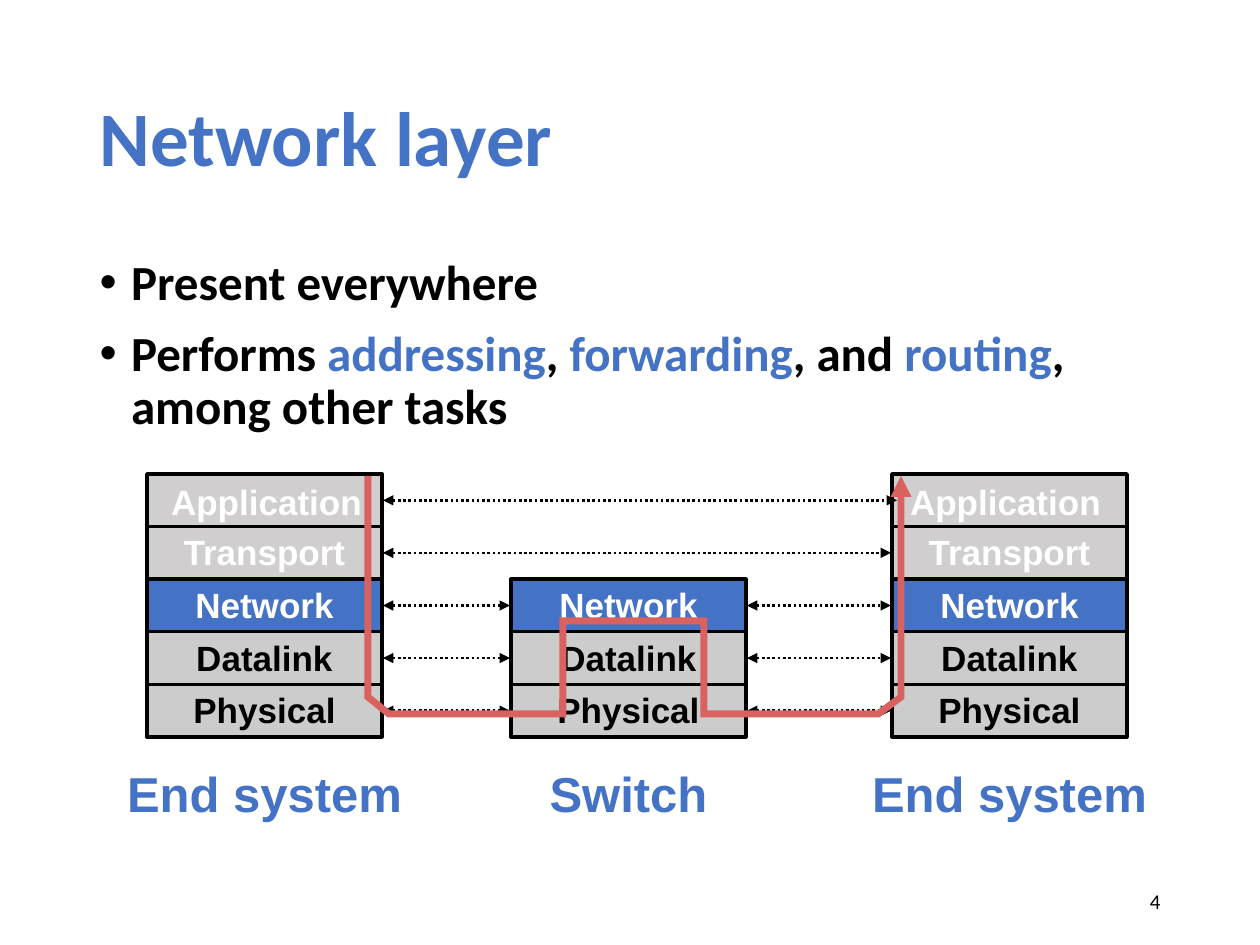
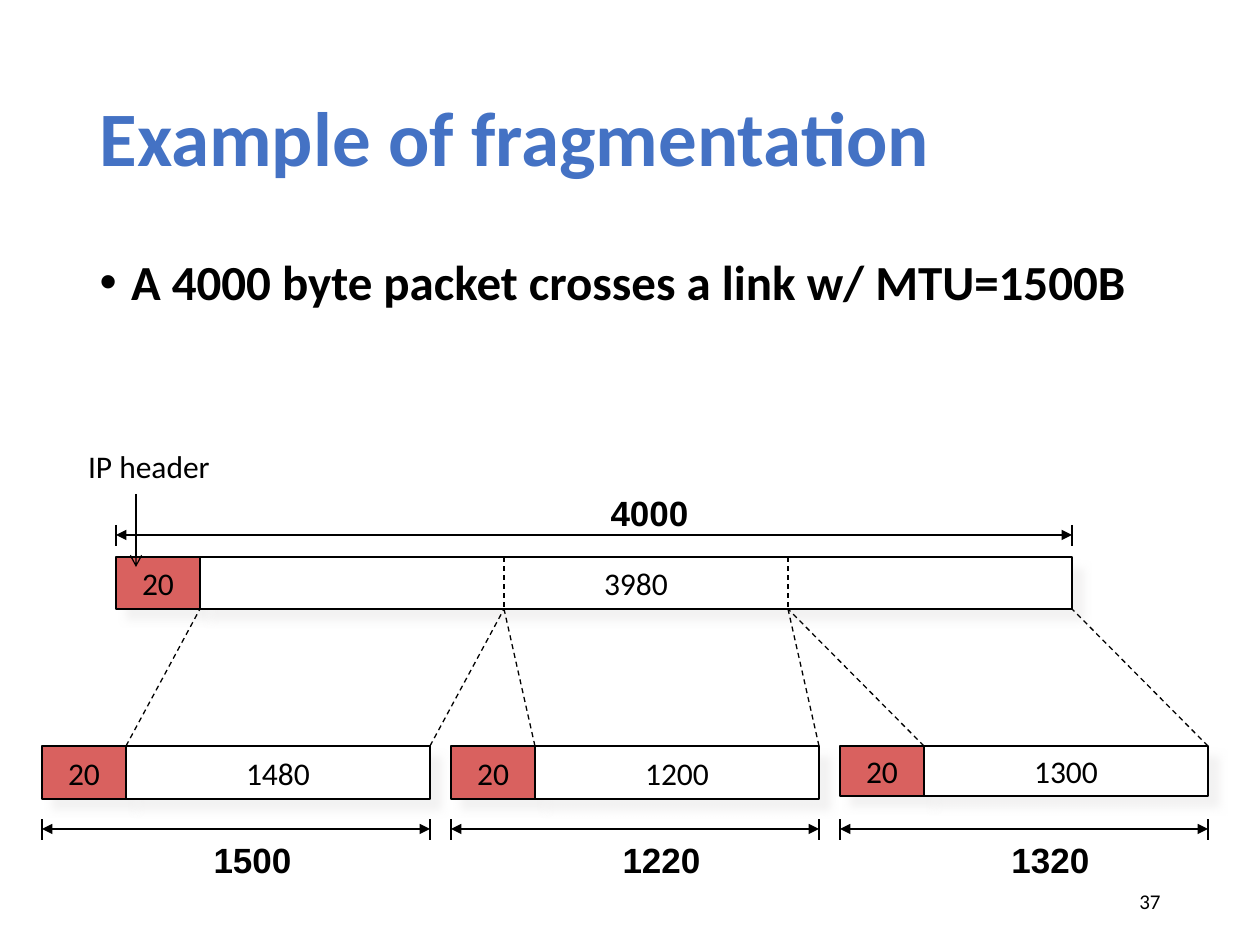
from lxml.etree import SubElement
from pptx import Presentation
from pptx.dml.color import RGBColor
from pptx.enum.dml import MSO_LINE
from pptx.enum.shapes import MSO_CONNECTOR, MSO_SHAPE
from pptx.enum.text import MSO_ANCHOR, MSO_AUTO_SIZE, PP_ALIGN
from pptx.oxml.ns import qn
from pptx.util import Emu, Pt

PX = 914400 / 126
BLACK, WHITE, BLUE, RED = "000000", "FFFFFF", "4472C4", "D9615F"
PALE, GREY, SHADOW = "D0CECE", "CCCCCC", "E7E6E6"

# Asterisks enclose accented words.
NETWORK = {
    "title": "Network layer",
    "bullets": ["Present everywhere",
                "Performs *addressing*, *forwarding*, and *routing*, among other tasks"],
    "number": "4",
}
FRAGMENTATION = {
    "title": "Example of fragmentation",
    "bullets": ["A 4000 byte packet crosses a link w/ MTU=1500B"],
    "number": "37",
}

# name, fill, text colour, label width
LAYERS = [
    ("Application", PALE, WHITE, 218),
    ("Transport", PALE, WHITE, 189),
    ("Network", BLUE, WHITE, 165),
    ("Datalink", GREY, BLACK, 163),
    ("Physical", GREY, BLACK, 169),
]
# name, left, first layer, caption width, shift of the Application label
STACKS = [
    ("End system", 147, 0, 304, 2),
    ("Switch", 511, 2, 185, 0),
    ("End system", 892, 0, 304, -4),
]
STACK_TOP, STACK_BOTTOM, STACK_W = 474, 737, 235
LAYER_H = (STACK_BOTTOM - STACK_TOP) / len(LAYERS)
DATA_PATH = [(368, 476), (368, 697), (389, 714), (563, 714), (563, 621),
             (704, 621), (704, 714), (878, 714), (901, 697), (901, 476)]

# payload, payload width, total, centre of the total, box height
FRAGMENTS = [
    ("1480", 304, "1500", 252, 53),
    ("1200", 284, "1220", 661, 53),
    ("1300", 284, "1320", 1050, 50),
]
HEADER, HEADER_W = "20", 84
PACKET_LEFT, PACKET_TOP, PACKET_H = 116, 557, 52
FRAGMENT_LEFT, FRAGMENT_TOP, FRAGMENT_GAP = 42, 746, 21


def px(value):
    return Emu(round(value * PX))


def rgb(hex_color):
    return RGBColor.from_string(hex_color)


def style_run(r, size, color, font="Calibri", bold=False):
    r.font.name, r.font.size, r.font.bold = font, Pt(size), bold
    r.font.color.rgb = rgb(color)


def set_text(sp, text, size, color=BLACK, font="Calibri", bold=False,
             align=PP_ALIGN.CENTER):
    tf = sp.text_frame
    tf.text = text
    p = tf.paragraphs[0]
    p.alignment = align
    style_run(p.runs[0], size, color, font, bold)
    return tf


def add_label(shapes, text, box, size, color=BLACK, font="Arial", bold=True):
    sp = shapes.add_textbox(*map(px, box))
    set_text(sp, text, size, color, font, bold).word_wrap = False


def add_box(shapes, box, fill, line_width):
    sp = shapes.add_shape(MSO_SHAPE.RECTANGLE, *map(px, box))
    sp.shadow.inherit = False
    sp.fill.solid()
    sp.fill.fore_color.rgb = rgb(fill)
    sp.line.color.rgb = rgb(BLACK)
    sp.line.width = Pt(line_width)
    return sp


def style_line(sp, color, width, dash=None, head=None, tail=None):
    sp.line.color.rgb = rgb(color)
    sp.line.width = Pt(width)
    if dash:
        sp.line.dash_style = dash
    ln = sp._element.spPr.find(qn("a:ln"))
    SubElement(ln, qn("a:miter"), lim="800000")
    for tag, kind in (("a:headEnd", head), ("a:tailEnd", tail)):
        if kind:
            SubElement(ln, qn(tag), type=kind)


def add_line(shapes, x1, y1, x2, y2, width=0.75, **style):
    sp = shapes.add_connector(MSO_CONNECTOR.STRAIGHT, *map(px, (x1, y1, x2, y2)))
    style_line(sp, BLACK, width, **style)
    SubElement(sp._element.spPr, qn("a:effectLst"))


def fill_body(body, bullets):
    tf = body.text_frame
    tf.auto_size = MSO_AUTO_SIZE.NONE
    for i, bullet in enumerate(bullets):
        p = tf.add_paragraph() if i else tf.paragraphs[0]
        p.line_spacing, p.space_before = 0.9, Pt(10)
        pPr = p._p.get_or_add_pPr()
        pPr.set("marL", "228600")
        pPr.set("indent", "-228600")
        SubElement(pPr, qn("a:buFont"), typeface="Arial")
        SubElement(pPr, qn("a:buChar"), char="•")
        for j, part in enumerate(bullet.split("*")):
            r = p.add_run()
            r.text = part
            style_run(r, 28, BLUE if j % 2 else BLACK, bold=True)


def place(sp, box):
    sp.left, sp.top, sp.width, sp.height = map(px, box)


def add_slide(prs, content):
    """Add a slide with its title, bullets and page number."""
    s = prs.slides.add_slide(prs.slide_layouts[1])
    title, body = s.placeholders
    place(title, (87, 50, 1086, 183))
    tf = set_text(title, content["title"], 44, BLUE, bold=True, align=PP_ALIGN.LEFT)
    tf.auto_size = MSO_AUTO_SIZE.NONE
    tf.vertical_anchor = MSO_ANCHOR.MIDDLE
    tf.paragraphs[0].line_spacing = 0.9
    place(body, (87, 252, 1086, 600))
    fill_body(body, content["bullets"])
    number = s.shapes.add_textbox(*map(px, (890, 876, 283, 50)))
    tf = set_text(number, content["number"], 12, align=PP_ALIGN.RIGHT)
    tf.word_wrap = True
    tf.vertical_anchor = MSO_ANCHOR.MIDDLE
    return s.shapes


def draw_stacks(shapes):
    for caption, left, first, caption_w, shift in STACKS:
        center = left + STACK_W / 2
        for i, (name, fill, color, label_w) in enumerate(LAYERS[first:], first):
            top = STACK_TOP + i * LAYER_H
            add_box(shapes, (left, top, STACK_W, LAYER_H), fill, 2)
            dx, dy = (0, -2) if i else (shift, 0)
            add_label(shapes, name, (center - label_w / 2 + dx, top + dy, label_w, 55),
                      20, color)
        add_label(shapes, caption, (center - caption_w / 2, 757, caption_w, 72), 28, BLUE)


def draw_links(shapes):
    for i in range(len(LAYERS)):
        y = STACK_TOP + (i + 0.5) * LAYER_H
        lefts = [left for _, left, first, _, _ in STACKS if first <= i]
        overlap = -1 if i else 5
        for left, next_left in zip(lefts, lefts[1:]):
            add_line(shapes, left + STACK_W + 1, y, next_left + overlap, y, 1.5,
                     dash=MSO_LINE.ROUND_DOT, head="triangle", tail="triangle")


def draw_data_path(shapes):
    builder = shapes.build_freeform(*DATA_PATH[0], scale=PX)
    builder.add_line_segments(DATA_PATH[1:], close=False)
    sp = builder.convert_to_shape()
    sp.shadow.inherit = False
    sp.fill.background()
    style_line(sp, RED, 4, tail="triangle")


def add_field(shapes, text, box, fill):
    """Add one shadowed field of a packet."""
    sp = add_box(shapes, box, fill, 0.75)
    effects = sp._element.spPr.find(qn("a:effectLst"))
    shadow = SubElement(effects, qn("a:outerShdw"), blurRad=str(Pt(5)),
                        dist=str(Pt(8.5)), dir="2700000", algn="ctr", rotWithShape="0")
    color = SubElement(shadow, qn("a:srgbClr"), val=SHADOW)
    SubElement(color, qn("a:alpha"), val="50000")
    tf = set_text(sp, text, 18)
    tf.word_wrap = False
    tf.vertical_anchor = MSO_ANCHOR.MIDDLE


def draw_packet(shapes, left, top, height, payload, payload_w):
    add_field(shapes, HEADER, (left, top, HEADER_W, height), RED)
    add_field(shapes, payload, (left + HEADER_W, top, payload_w, height), WHITE)


def draw_dimension(shapes, left, right, y, text, center, label_top):
    for x in (left, right):
        add_line(shapes, x, y - 10, x, y + 11)
    add_line(shapes, left, y, right, y, head="triangle", tail="triangle")
    add_label(shapes, text, (center - 52, label_top, 105, 55), 20)


def draw_fragmentation(shapes):
    payload_w = sum(fragment[1] for fragment in FRAGMENTS)
    cut = PACKET_LEFT + HEADER_W
    packet_bottom = PACKET_TOP + PACKET_H
    draw_packet(shapes, PACKET_LEFT, PACKET_TOP, PACKET_H, "3980", payload_w)
    draw_dimension(shapes, PACKET_LEFT, cut + payload_w, 535, "4000", 649, 485)

    left = FRAGMENT_LEFT
    for i, (payload, width, total, center, height) in enumerate(FRAGMENTS):
        group = shapes.add_group_shape().shapes
        start, right = left + HEADER_W, left + HEADER_W + width
        draw_packet(group, left, FRAGMENT_TOP, height, payload, width)
        draw_dimension(group, left, right, 829, total, center, 832)
        for x, packet_x in ((start, cut), (right, cut + width)):
            add_line(group, x, FRAGMENT_TOP, packet_x, packet_bottom, dash=MSO_LINE.DASH)
        if i:
            add_line(shapes, cut, PACKET_TOP, cut, packet_bottom, dash=MSO_LINE.DASH)
        cut += width
        left = right + FRAGMENT_GAP

    add_label(shapes, "IP header", (73, 441, 152, 47), 18, font="Calibri", bold=False)
    add_line(shapes, 136, 494, 136, 567, tail="arrow")


def main():
    prs = Presentation()
    prs.slide_width, prs.slide_height = px(1260), px(945)
    shapes = add_slide(prs, NETWORK)
    draw_stacks(shapes)
    draw_links(shapes)
    draw_data_path(shapes)
    draw_fragmentation(add_slide(prs, FRAGMENTATION))
    prs.save("out.pptx")


if __name__ == "__main__":
    main()
